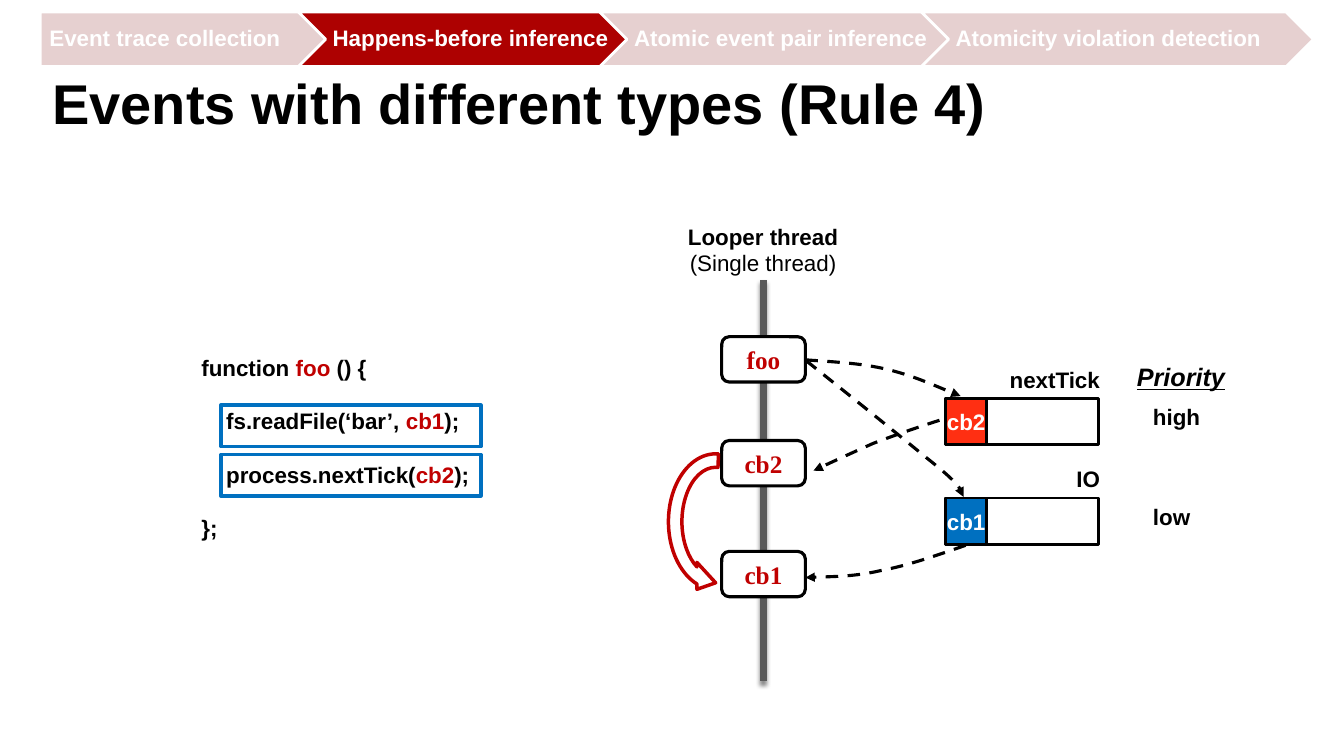
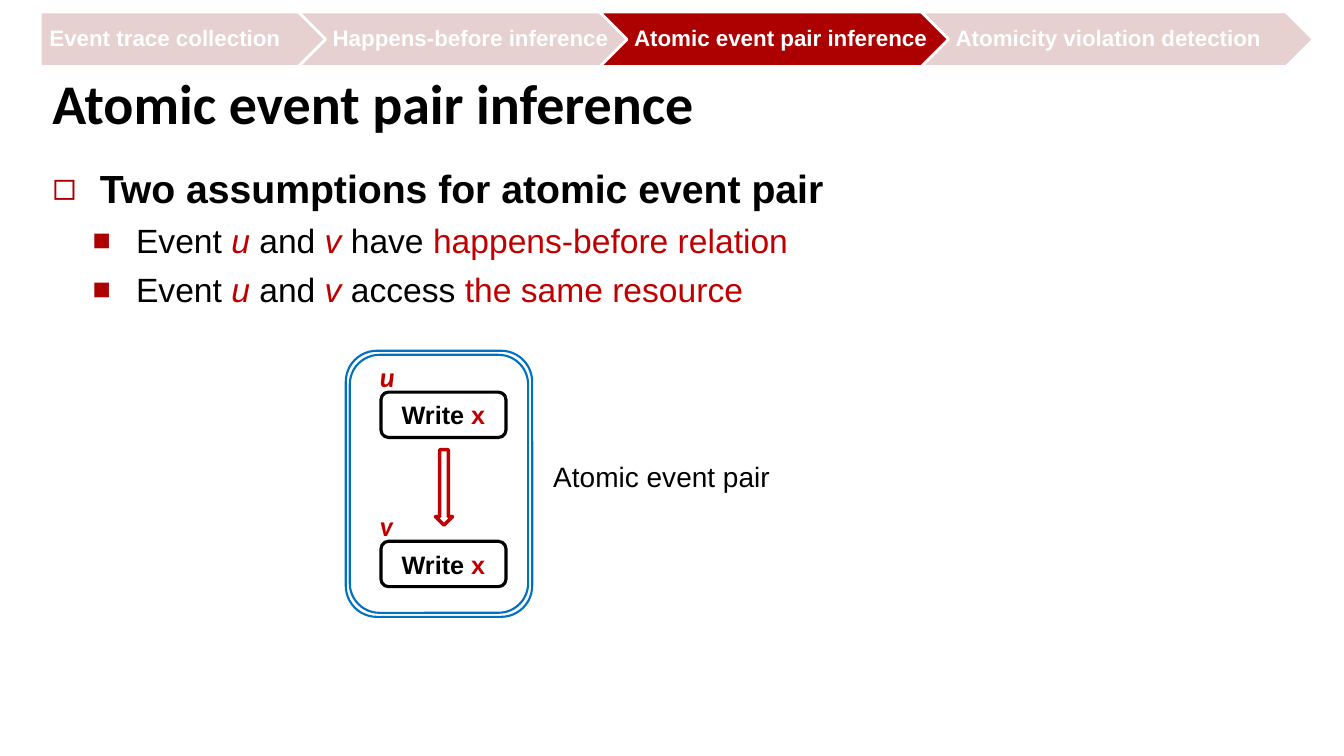
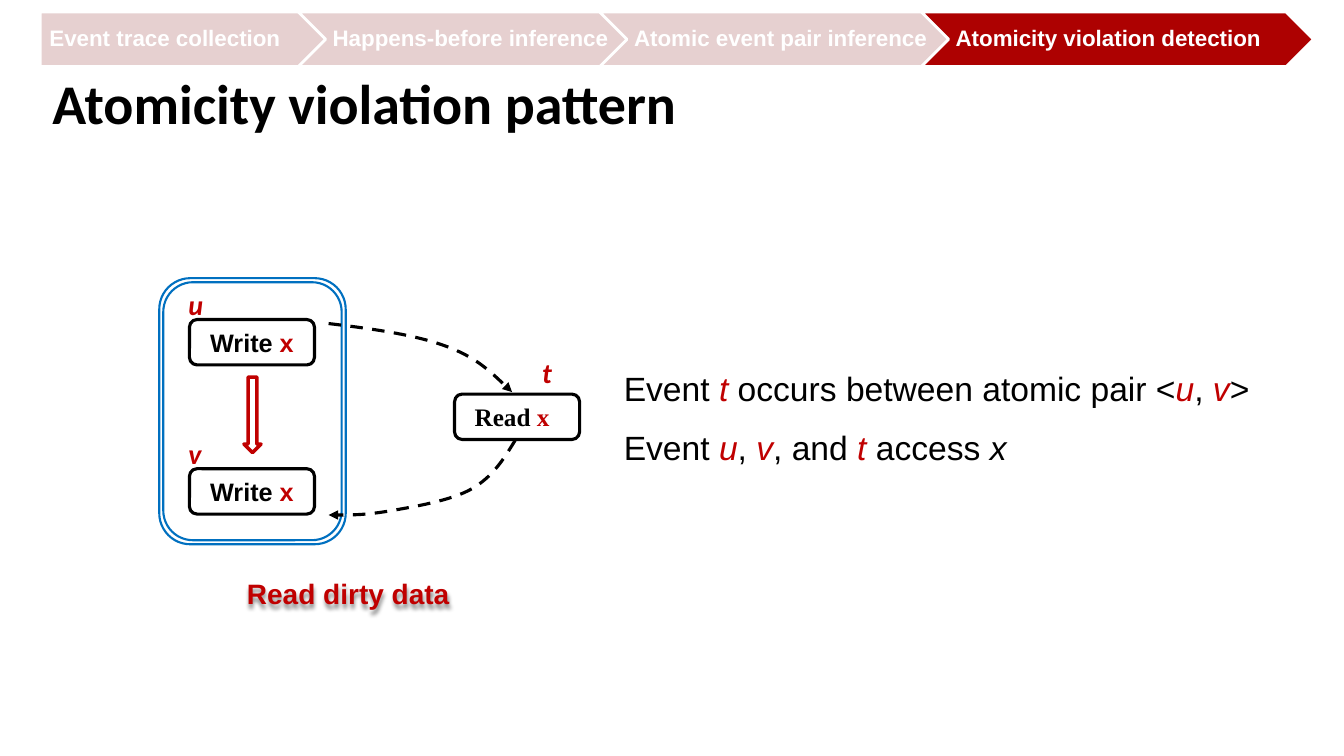
from lxml import etree
from pptx import Presentation
from pptx import util as u
from pptx.dml.color import RGBColor
from pptx.enum import dml, shapes, text
from pptx.oxml.ns import qn

CELL = u.Inches(0.1)
COLS, ROWS = 133.33, 75
COLORS = {"ink": "000000", "paper": "FFFFFF", "red": "C00000", "band": "AD0101",
          "pale": "E6D0D0", "blue": "0070C0", "orange": "FF2F12", "gray": "595959"}
FONT = {"name": "Arial", "size": u.Pt(16), "bold": True}
SERIF = {"name": "Times New Roman", "size": u.Pt(18)}
EVENT = {"name": "Arial", "size": u.Pt(18)}
TAG = {"name": "Calibri", "size": u.Pt(20), "italic": True, "color": "red"}
SENTENCE = {"size": u.Pt(24), "bold": False, "align": text.PP_ALIGN.JUSTIFY}
STEPS = [("Event trace collection", 4, 38.2), ("Happens-before inference", 29.6, 42.5),
         ("Atomic event pair inference", 59.5, 44.5), ("Atomicity violation detection", 91.4, 38.9)]
CENTER, RIGHT = text.PP_ALIGN.CENTER, text.PP_ALIGN.RIGHT
TOP, MIDDLE = text.MSO_ANCHOR.TOP, text.MSO_ANCHOR.MIDDLE
KIND = shapes.MSO_SHAPE


class Deck:
    """Shared style and the current slide; lengths are cells of a 133.33 by 75 grid."""

    def __init__(self):
        self.prs = Presentation()
        self.prs.slide_width, self.prs.slide_height = self.cells(COLS, ROWS)
        self.s = None

    def cells(self, *values):
        """Turn grid cells into lengths."""
        return [u.Emu(round(v * CELL)) for v in values]

    def rgb(self, name):
        """Look up a colour."""
        return RGBColor.from_string(COLORS[name])

    def place(self, sp, box):
        """Move a placeholder to a box."""
        for key, value in zip(("left", "top", "width", "height"), self.cells(*box)):
            setattr(sp, key, value)

    def set_text(self, tf, lines, color="ink", align=None, anchor=TOP, pad=(1, 0.5, 1, 0.5),
                 gap=0, spacing=None, **font):
        """Fill a text frame; ~ toggles red and _ toggles italics."""
        frame = dict(zip(("margin_left", "margin_top", "margin_right", "margin_bottom"),
                         self.cells(*pad)))
        frame.update(word_wrap=True, auto_size=text.MSO_AUTO_SIZE.NONE, vertical_anchor=anchor)
        for key, value in frame.items():
            setattr(tf, key, value)
        for n, line in enumerate(lines):
            words, extra = line if isinstance(line, tuple) else (line, {})
            p = tf.add_paragraph() if n else tf.paragraphs[0]
            look = {"alignment": align, "line_spacing": spacing,
                    "space_before": u.Pt(gap if n else 0)}
            for key, value in look.items():
                setattr(p, key, value)
            for i, part in enumerate(words.split("~")):
                for j, bit in enumerate(part.split("_")):
                    if not bit:
                        continue
                    r = p.add_run()
                    r.text = bit
                    style = {**FONT, **font, **extra}
                    if j % 2:
                        style["italic"] = True
                    for key, value in style.items():
                        setattr(r.font, key, value)
                    r.font.color.rgb = self.rgb("red" if i % 2 else color)

    def slide(self, title, step, layout=5, font="Calibri"):
        """Start a slide with its title and the step band."""
        self.s = self.prs.slides.add_slide(self.prs.slide_layouts[layout])
        self.place(self.s.shapes.title, (4.2, 6.5, 125, 9.3))
        self.set_text(self.s.shapes.title.text_frame, [title], name=font, size=u.Pt(40),
                      align=text.PP_ALIGN.LEFT, spacing=u.Pt(46.7))
        for n, (label, x, w) in enumerate(STEPS):
            self.shape(KIND.CHEVRON if n else KIND.PENTAGON, (x, 1.2, w, 5.4),
                       "band" if n == step else "pale", "paper", 2)
            inset = 2.7 if n else 0
            self.label((x + inset, 1.2, w - 2 * inset, 5.4), label, color="paper",
                       anchor=MIDDLE, spacing=0.9, pad=(0.7 if n else 0.9, 0.5, 0.2, 0.5))

    def bullets(self, box, lines):
        """Fill the body placeholder with a heading and its points."""
        sp = self.s.placeholders[1]
        self.place(sp, box)
        point = {"size": u.Pt(24), "bold": False}
        self.set_text(sp.text_frame, [lines[0]] + [(t, point) for t in lines[1:]],
                      gap=6, size=u.Pt(28))
        for n, p in enumerate(sp.text_frame.paragraphs):
            p.level = min(n, 1)
            left, hang, size, char = (8.3, 4.3, 90, "■") if n else (4.7, 4.7, 100, "◻")
            pPr = p._p.get_or_add_pPr()
            for key, value in zip(("marL", "indent"), self.cells(left, -hang)):
                pPr.set(key, str(value))
            clr = etree.SubElement(pPr, qn("a:buClr"))
            etree.SubElement(clr, qn("a:srgbClr"), val=COLORS["band"])
            etree.SubElement(pPr, qn("a:buSzPct"), val=str(size * 1000))
            etree.SubElement(pPr, qn("a:buChar"), char=char)

    def label(self, box, *lines, **style):
        """Add a text box."""
        sp = self.s.shapes.add_textbox(*self.cells(*box))
        self.set_text(sp.text_frame, lines, **style)
        return sp

    def outline(self, sp, fill, line, width):
        """Set fill and line of a shape."""
        sp.shadow.inherit = False
        if fill:
            sp.fill.solid()
            sp.fill.fore_color.rgb = self.rgb(fill)
        else:
            sp.fill.background()
        sp.line.color.rgb = self.rgb(line)
        sp.line.width = u.Pt(width)

    def shape(self, kind, box, fill, line, width, *lines, **style):
        """Add a preset shape, with centred text if any."""
        sp = self.s.shapes.add_shape(kind, *self.cells(*box))
        self.outline(sp, fill, line, width)
        if lines:
            self.set_text(sp.text_frame, lines, align=CENTER, anchor=MIDDLE, **style)
        return sp

    def node(self, x, y, w, words, pad=(0, 0, 0, 0), **style):
        """Add a rounded event box."""
        self.shape(KIND.ROUNDED_RECTANGLE, (x, y, w, 4.5), "paper", "ink", 2.25, words,
                   pad=pad, **style)

    def curve(self, start, *points):
        """Add a dashed arrow through Bezier points, three to a segment."""
        pen = self.s.shapes.build_freeform(*self.cells(*start))
        pen.add_line_segments([self.cells(*pt) for pt in points], close=False)
        sp = pen.convert_to_shape()
        self.outline(sp, None, "ink", 2.25)
        sp.line.dash_style = dml.MSO_LINE.DASH
        ln = sp._element.spPr.find(qn("a:ln"))
        etree.SubElement(ln, qn("a:tailEnd"), type="triangle")
        steps = list(sp._element.iter(qn("a:lnTo")))
        outline = steps[0].getparent()
        for n in range(0, len(steps), 3):
            bezier = etree.SubElement(outline, qn("a:cubicBezTo"))
            for step in steps[n:n + 3]:
                bezier.append(step[0])
                outline.remove(step)

    def shadow(self, sp):
        """Add a soft shadow below a line or text."""
        effects = etree.SubElement(sp._element.spPr, qn("a:effectLst"))
        outer = etree.SubElement(effects, qn("a:outerShdw"), blurRad=str(u.Pt(3)),
                                 dist=str(u.Pt(2.4)), dir="5400000", rotWithShape="0")
        color = etree.SubElement(outer, qn("a:srgbClr"), val=COLORS["ink"])
        etree.SubElement(color, qn("a:alpha"), val="45000")

    def thread(self, x, top, bottom):
        """Add the vertical thread line."""
        line = self.s.shapes.add_connector(shapes.MSO_CONNECTOR.STRAIGHT,
                                           *self.cells(x, top, x, bottom))
        line.line.color.rgb = self.rgb("gray")
        line.line.width = u.Pt(5)
        self.shadow(line)

    def queue(self, y, name, callback, fill, priority):
        """Add an event queue with its head, name and priority."""
        self.shape(KIND.RECTANGLE, (93.8, y, 15.2, 4.6), "paper", "ink", 2)
        self.shape(KIND.RECTANGLE, (93.8, y, 4.1, 4.6), fill, "ink", 2, callback,
                   color="paper", pad=(0, 0, 0, 0))
        self.label((97.2, y - 3.7, 12.9, 3.7), name, align=RIGHT)
        self.label((113.4, y, 10.3, 3.7), priority)

    def pair(self, x, y, inset):
        """Add an atomic pair of writes inside a double frame."""
        for name, dy in (("u", 0), ("v", 14.8)):
            self.node(x, y + dy, 12.4, "Write ~x~", **EVENT)
            self.label((x - 1.1, y + dy - 3.7, 4.4, 4.4), name, **TAG)
        self.shape(KIND.DOWN_ARROW, (x + 5.4, y + 5.7, 1.7, 7.5), None, "red", 2.5)
        for d in (0, 0.4):
            self.shape(KIND.FLOWCHART_ALTERNATE_PROCESS,
                       (x - inset + d, y - 4.1 + d, 18.5 - 2 * d, 26.4 - 2 * d),
                       None, "blue", 1.5)


def rule_slide(deck):
    """Build the slide on events of different types."""
    deck.slide("Events with different types (Rule 4)", 1, font="Arial")
    deck.label((19, 35.1, 37.3, 19.6), "function ~foo~ () {", "    fs.readFile(‘bar’, ~cb1~);",
               "    process.nextTick(~cb2~);", "};", pad=(1, 0, 1, 0.5), gap=19)
    for y in (40.2, 45.1):
        deck.shape(KIND.RECTANGLE, (21.9, y, 25.8, 4.1), None, "blue", 2.5)
    deck.label((66.3, 21.6, 18.8, 6.4), "Looper thread", ("(Single thread)", {"bold": False}),
               align=CENTER)
    deck.thread(75.7, 27.8, 67.6)
    for words, y in (("foo", 33.4), ("cb2", 43.7), ("cb1", 54.7)):
        deck.node(71.6, y, 8.3, words, color="red", **SERIF)
    order = deck.shape(KIND.CIRCULAR_ARROW, (63.6, 46.4, 14.8, 10.7), None, "red", 2.5)
    for n, value in enumerate((0.125, 11.423, 204.577, 106.533, 0.125)):
        order.adjustments[n] = value
    order.rotation = 90
    order._element.spPr.find(qn("a:xfrm")).set("flipV", "1")
    deck.queue(39.5, "nextTick", "cb2", "orange", "high")
    deck.queue(49.4, "IO", "cb1", "blue", "low")
    deck.label((111.8, 35.4, 13, 4), "Priority", size=u.Pt(18), italic=True, underline=True)
    deck.curve((93.2, 41.7), (91, 42.4), (88.7, 43.2), (86.6, 44),
               (84.6, 44.9), (82.6, 45.8), (80.7, 46.7))
    deck.curve((95.8, 54.1), (92.9, 55.1), (90.1, 56.1), (87.4, 56.6),
               (84.8, 57.2), (82.3, 57.2), (79.9, 57.3))
    deck.curve((80, 35.8), (84, 39), (88, 42.2), (91.9, 45.4),
               (94.4, 47.4), (94, 47.2), (94.7, 47.8), (95.3, 48.5), (95.4, 48.9), (95.6, 49.3))
    deck.curve((79.9, 35.7), (82.5, 35.9), (85.2, 36), (87.8, 36.6),
               (90.4, 37.2), (92.8, 38.3), (95.3, 39.3))


def inference_slide(deck):
    """Build the slide on the two assumptions."""
    deck.slide("Atomic event pair inference", 2, layout=1)
    deck.bullets((4.2, 15.8, 125, 15.5), [
        "Two assumptions for atomic event pair",
        "Event ~_u_~ and ~_v_~ have ~happens-before relation~",
        "Event ~_u_~ and ~_v_~ access ~the same resource~"])
    deck.pair(37.8, 38.9, 3.5)
    deck.label((53.9, 45.1, 25.3, 4.4), "Atomic event pair", size=u.Pt(20), bold=False)


def pattern_slide(deck):
    """Build the slide on the violation pattern."""
    deck.slide("Atomicity violation pattern", 3)
    deck.pair(18.8, 31.7, 3)
    deck.node(45.1, 39.1, 12.4, "Read ~x~", pad=(0, 0, 1, 0), **SERIF)
    deck.label((52.8, 34.8, 4.6, 4.4), "t", **TAG)
    deck.curve((32.6, 32.1), (36.8, 32.6), (41.1, 33.2), (44.1, 34.3),
               (47.2, 35.4), (49, 37.2), (50.8, 38.9))
    deck.curve((51.1, 43.7), (50, 45.5), (48.9, 47.3), (46.8, 48.5),
               (44.7, 49.7), (40.9, 50.3), (38.6, 50.7), (36.2, 51.1), (34.4, 51.1), (32.6, 51.1))
    deck.label((60.9, 36, 67, 5), "Event ~_t_~ occurs between atomic pair <~_u_~, ~_v_~>",
               **SENTENCE)
    deck.label((60.9, 41.9, 67, 5), "Event ~_u_~, ~_v_~, and ~_t_~ access _x_", **SENTENCE)
    deck.shadow(deck.label((20, 56.7, 29.1, 4.4), "Read dirty data", size=u.Pt(20),
                           color="red", align=CENTER, anchor=MIDDLE))


def main():
    """Build and save the slides."""
    deck = Deck()
    for build in (rule_slide, inference_slide, pattern_slide):
        build(deck)
    deck.prs.save("out.pptx")


if __name__ == "__main__":
    main()
